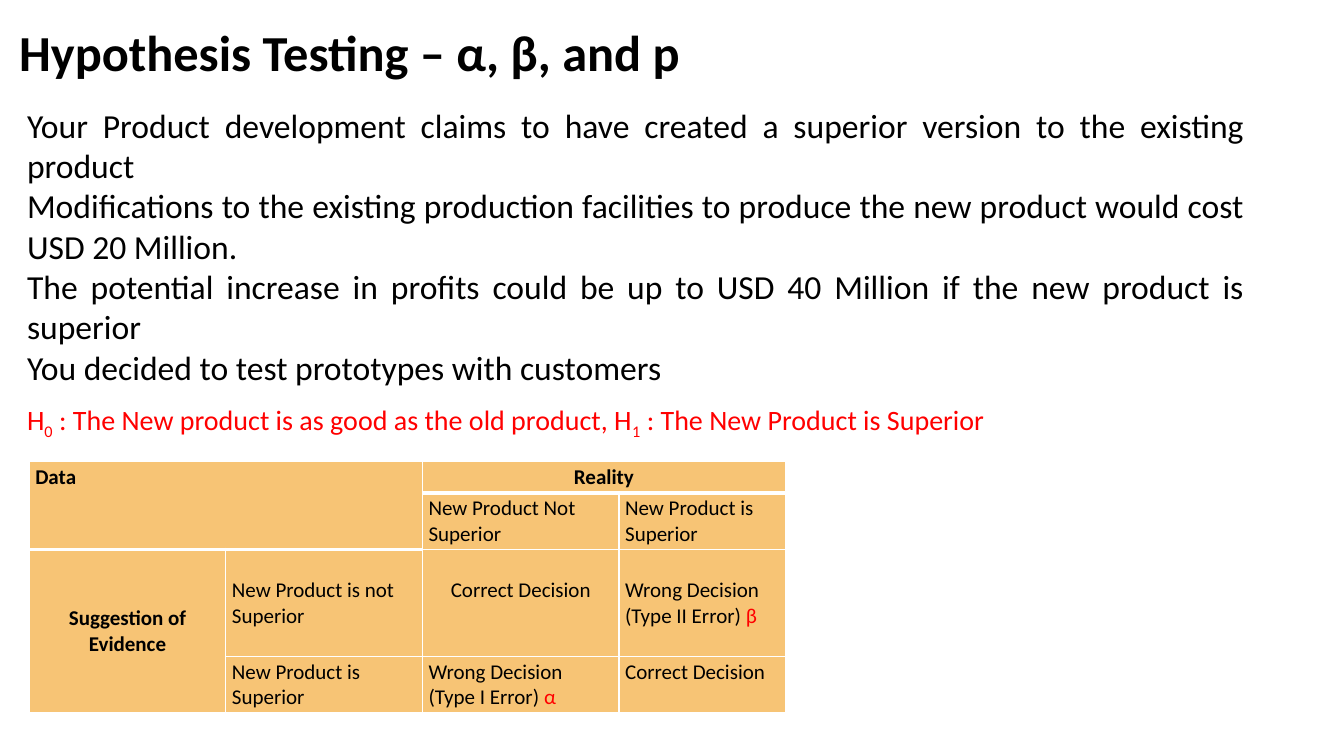
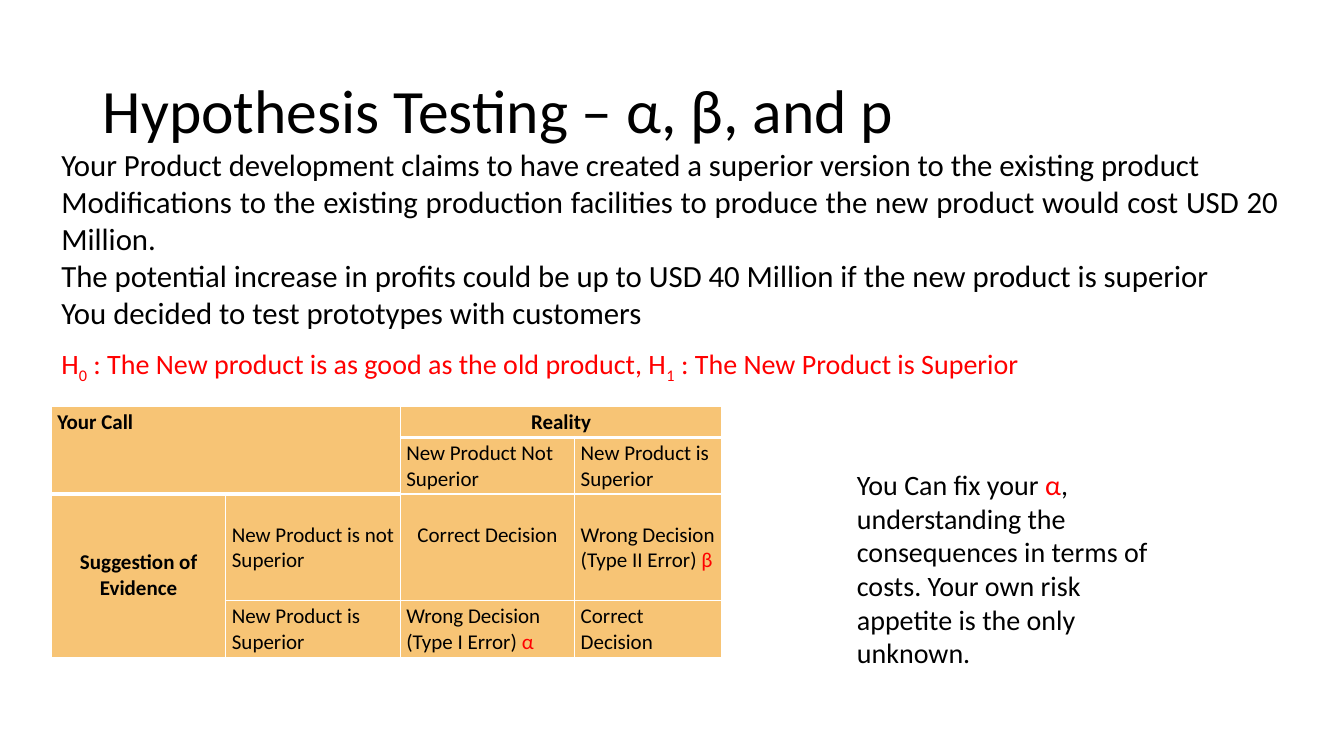
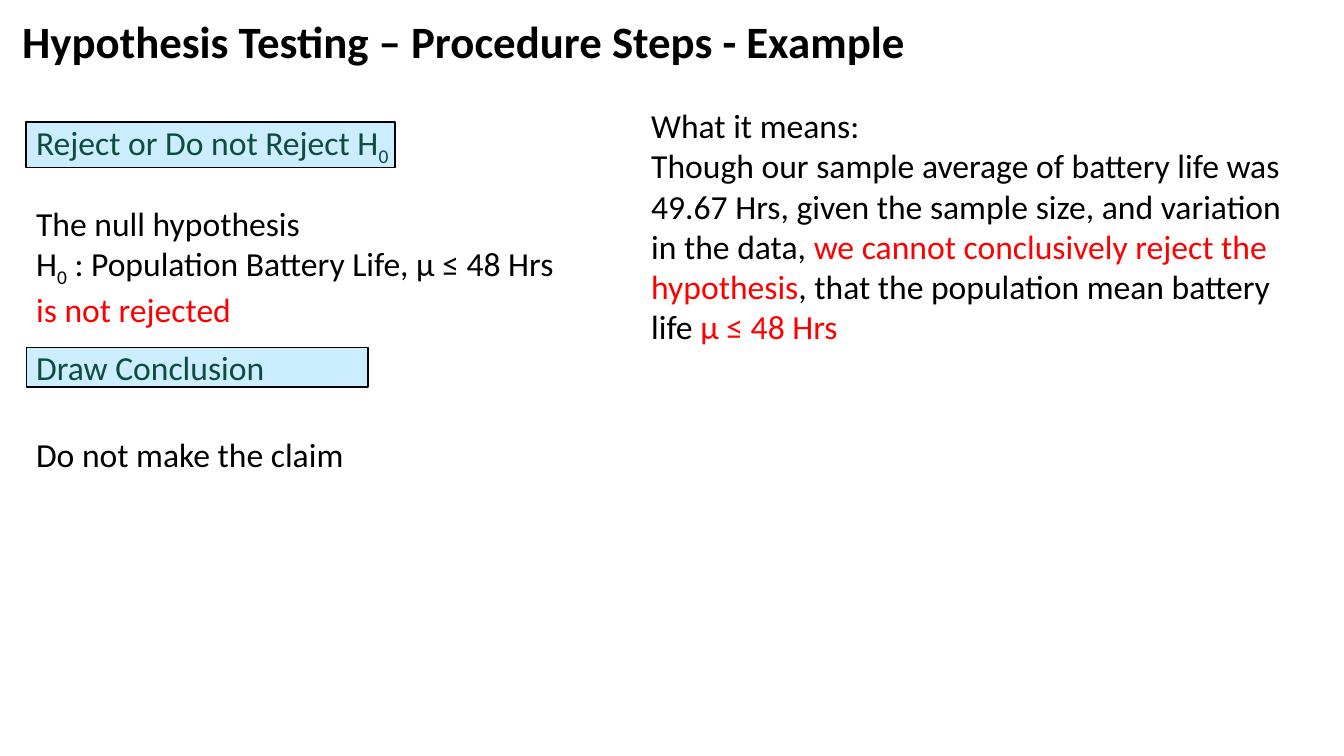
from lxml import etree
from pptx import Presentation
from pptx.dml.color import RGBColor
from pptx.enum import shapes, text
from pptx.oxml import ns
from pptx.util import Inches, Pt

FONT = "Calibri"
BLACK, RED, WHITE = "000000", "FF0000", "FFFFFF"
TABLE_FILL, STEP_FILL, STEP_TEXT = "F7C475", "CCECFF", "0E4D3C"
LEFT, CENTER, JUSTIFY = text.PP_ALIGN.LEFT, text.PP_ALIGN.CENTER, text.PP_ALIGN.JUSTIFY
SUBSCRIPT = "sub"
color = RGBColor.from_string


def write(frame, paragraphs, size, hex_color=BLACK, bold=False, align=LEFT):
    """Fill a frame; a paragraph is a string or a list of strings and (string, style) pairs,
    where the style is a colour or SUBSCRIPT."""
    frame.word_wrap = True
    for index, content in enumerate(paragraphs):
        paragraph = frame.paragraphs[0] if index == 0 else frame.add_paragraph()
        paragraph.alignment = align
        for part in [content] if isinstance(content, str) else content:
            words, style = (part, None) if isinstance(part, str) else part
            run = paragraph.add_run()
            run.text = words
            run.font.name, run.font.size, run.font.bold = FONT, Pt(size), bold
            if style == SUBSCRIPT:
                run._r.get_or_add_rPr().set("baseline", "-25000")
                style = None
            run.font.color.rgb = color(style or hex_color)


def set_borders(cell, widths):
    """Draw white cell borders; widths are points for left, right, top and bottom."""
    properties = cell._tc.get_or_add_tcPr()
    for index, (side, width) in enumerate(zip("LRTB", widths)):
        line = etree.Element(ns.qn(f"a:ln{side}"), w=str(Pt(width)))
        fill = etree.SubElement(line, ns.qn("a:solidFill"))
        etree.SubElement(fill, ns.qn("a:srgbClr"), val=WHITE)
        properties.insert(index, line)


presentation = Presentation()
presentation.slide_width, presentation.slide_height = Inches(13.33), Inches(7.5)

# Titles
titles = [
    ("Hypothesis Testing – α, β, and p", (0.09, 0.13, 12.42, 0.84), 36, True),
    ("Hypothesis Testing – α, β, and p", (0.92, 0.4, 11.5, 1.45), 44, False),
    ("Hypothesis Testing – Procedure Steps - Example", (0.12, 0.09, 11.5, 0.69), 32, True),
]
slides = []
for words, box, size, bold in titles:
    slide = presentation.slides.add_slide(presentation.slide_layouts[5])
    title = slide.shapes.title
    title.left, title.top, title.width, title.height = map(Inches, box)
    frame = title.text_frame
    frame.auto_size = text.MSO_AUTO_SIZE.NONE
    frame.vertical_anchor = text.MSO_ANCHOR.MIDDLE
    write(frame, [words], size, bold=bold)
    frame.paragraphs[0].line_spacing = 0.9
    slides.append(slide)
decision_slide, risk_slide, example_slide = slides

# Text boxes
case = [
    "Your Product development claims to have created a superior version to the existing product",
    "Modifications to the existing production facilities to produce the new product would cost USD 20 Million.",
    "The potential increase in profits could be up to USD 40 Million if the new product is superior",
    "You decided to test prototypes with customers",
]
hypotheses = [["H", ("0", SUBSCRIPT), " : The New product is as good as the old product, H",
               ("1", SUBSCRIPT), " : The New Product is Superior"]]
risk = [["You Can fix your ", ("α", RED),
         ", understanding the consequences in terms of costs. "
         "Your own risk appetite is the only unknown."]]
result = ["The null hypothesis",
          ["H", ("0", SUBSCRIPT), " : Population Battery Life, μ ≤ 48 Hrs"],
          [("is not rejected", RED)]]
meaning = ["What it means:",
           ["Though our sample average of battery life was 49.67 Hrs, given the sample size, "
            "and variation in the data, ",
            ("we cannot conclusively reject the hypothesis", RED),
            ", that the population mean battery life ", ("μ ≤ 48 Hrs", RED)]]
text_boxes = [
    (decision_slide, (0.17, 0.99, 12.27, 2.93), case, 24, BLACK, JUSTIFY),
    (decision_slide, (0.17, 3.94, 10.74, 0.44), hypotheses, 20, RED, LEFT),
    (risk_slide, (0.51, 1.4, 12.27, 1.95), case, 22, BLACK, JUSTIFY),
    (risk_slide, (0.51, 3.39, 10.74, 0.44), hypotheses, 20, RED, LEFT),
    (risk_slide, (8.4, 4.59, 3.28, 2.12), risk, 20, BLACK, LEFT),
    (example_slide, (0.26, 1.96, 5.83, 1.31), result, 24, BLACK, LEFT),
    (example_slide, (0.26, 4.26, 5.57, 0.5), ["Do not make the claim"], 24, BLACK, LEFT),
    (example_slide, (6.36, 0.99, 6.48, 2.52), meaning, 24, BLACK, LEFT),
]
for slide, box, paragraphs, size, hex_color, align in text_boxes:
    frame = slide.shapes.add_textbox(*map(Inches, box)).text_frame
    write(frame, paragraphs, size, hex_color, align=align)

# Decision tables
row_heights = [0.3, 0.56, 1.06, 0.56]
merges = [((0, 0), (1, 1)), ((0, 2), (0, 3)), ((2, 0), (3, 0))]
heavy_below = {(0, 0), (0, 2), (0, 3), (1, 0), (1, 1)}
headings = {(0, 0), (0, 2), (2, 0)}
centered = {(0, 2), (2, 0), (2, 2)}
entries = {
    (0, 2): ["Reality"],
    (1, 2): ["New Product Not Superior"],
    (1, 3): ["New Product is Superior"],
    (2, 0): ["Suggestion of Evidence"],
    (2, 1): ["New Product is not Superior"],
    (2, 2): ["Correct Decision"],
    (2, 3): ["Wrong Decision", ["(Type II Error) ", ("β", RED)]],
    (3, 1): ["New Product is Superior"],
    (3, 2): ["Wrong Decision", ["(Type I Error) ", ("α", RED)]],
    (3, 3): ["Correct Decision"],
}
tables = [
    (decision_slide, 0.29, 4.58, [1.95, 1.95, 1.95, 1.65], "Data"),
    (risk_slide, 0.51, 4.03, [1.73, 1.73, 1.73, 1.46], "Your Call"),
]
for slide, left, top, column_widths, corner in tables:
    table = slide.shapes.add_table(4, 4, Inches(left), Inches(top), Inches(sum(column_widths)),
                                   Inches(sum(row_heights))).table
    table.first_row = table.horz_banding = False
    for column, width in zip(table.columns, column_widths):
        column.width = Inches(width)
    for row, height in zip(table.rows, row_heights):
        row.height = Inches(height)
    for start, end in merges:
        table.cell(*start).merge(table.cell(*end))
    contents = {(0, 0): [corner], **entries}
    for row in range(4):
        for column in range(4):
            place = (row, column)
            cell = table.cell(row, column)
            cell.fill.solid()
            cell.fill.fore_color.rgb = color(TABLE_FILL)
            set_borders(cell, (1, 1, 3 if (row - 1, column) in heavy_below else 1,
                               3 if place in heavy_below else 1))
            cell.margin_left = cell.margin_right = Inches(0.06)
            cell.margin_top = cell.margin_bottom = Inches(0.03)
            if row == 2 and column > 0:
                cell.margin_top = Inches(0.28)
            if place == (2, 0):
                cell.vertical_anchor = text.MSO_ANCHOR.MIDDLE
            if place in contents:
                write(cell.text_frame, contents[place], 15, bold=place in headings,
                      align=CENTER if place in centered else LEFT)

# Step labels
steps = [
    ((0.26, 1.21, 3.66, 0.45), ["Reject or Do not Reject H", ("0", SUBSCRIPT)]),
    ((0.26, 3.45, 3.39, 0.39), "Draw Conclusion"),
]
for box, words in steps:
    label = example_slide.shapes.add_shape(shapes.MSO_SHAPE.RECTANGLE, *map(Inches, box))
    label.shadow.inherit = False
    label.fill.solid()
    label.fill.fore_color.rgb = color(STEP_FILL)
    label.line.color.rgb = color(BLACK)
    label.line.width = Pt(1)
    frame = label.text_frame
    frame.margin_top = frame.margin_bottom = frame.margin_right = 0
    frame.vertical_anchor = text.MSO_ANCHOR.MIDDLE
    write(frame, [words], 24, STEP_TEXT)

presentation.save("out.pptx")
